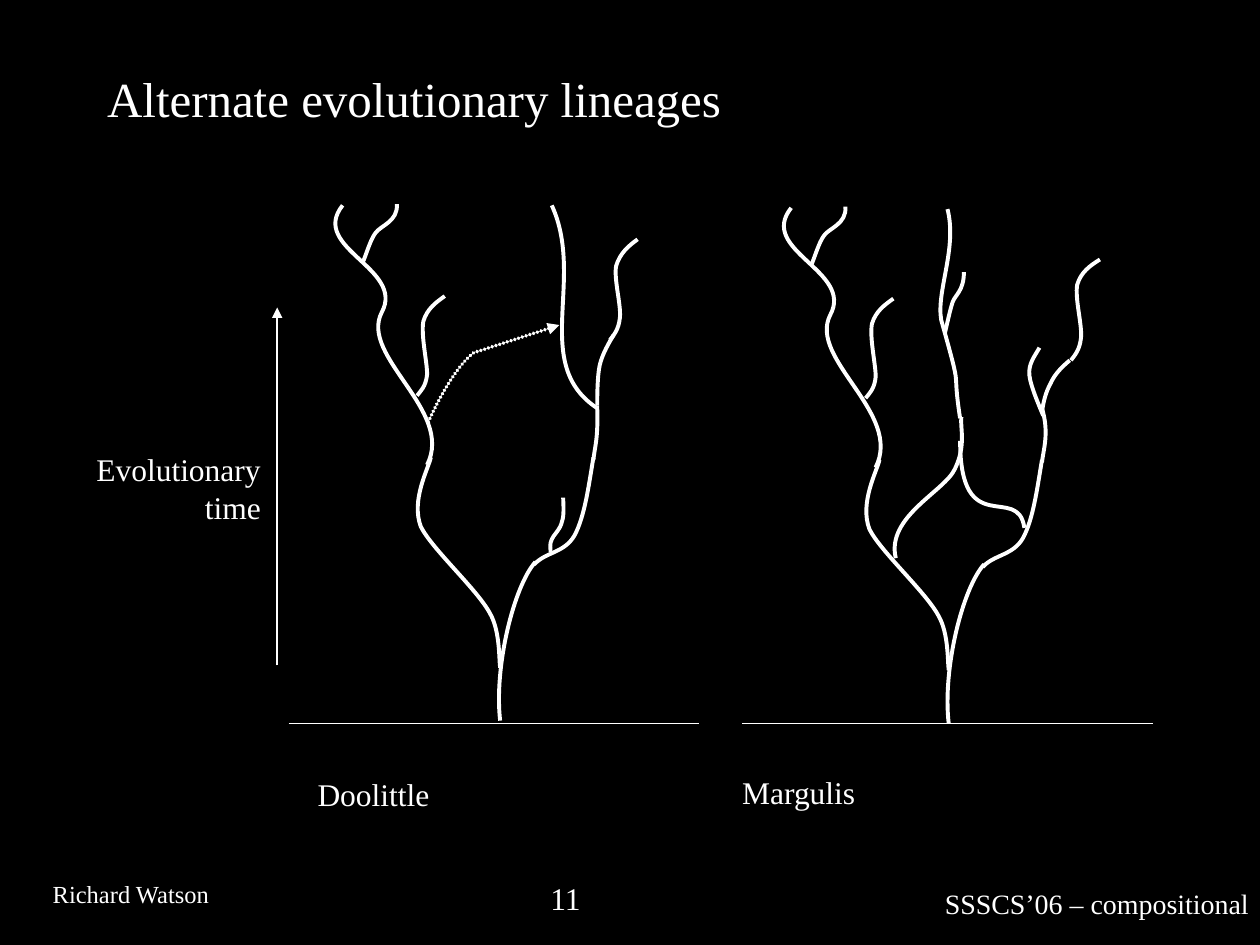
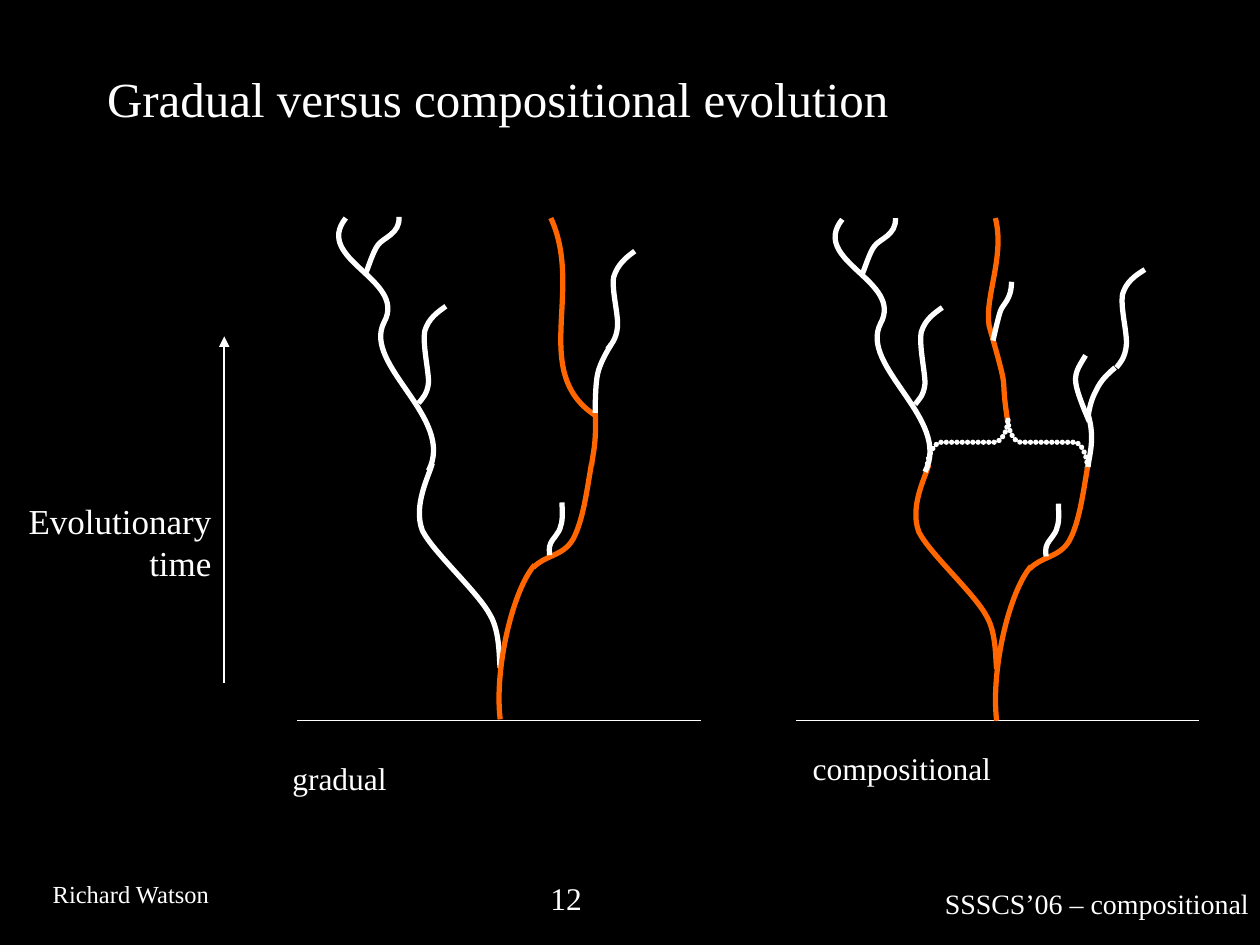
from dataclasses import dataclass

from lxml import etree
from pptx import Presentation
from pptx.dml.color import RGBColor
from pptx.enum.shapes import MSO_CONNECTOR
from pptx.enum.text import MSO_ANCHOR, MSO_AUTO_SIZE, PP_ALIGN
from pptx.oxml.ns import qn
from pptx.util import Inches, Pt


@dataclass(frozen=True)
class Theme:
    font: str = "Times New Roman"
    background: RGBColor = RGBColor(0x00, 0x00, 0x00)
    ink: RGBColor = RGBColor(0xFF, 0xFF, 0xFF)
    lineage: RGBColor = RGBColor(0xFF, 0x66, 0x00)
    title_size: int = 28
    axis_size: int = 20
    label_size: int = 18
    event_size: int = 16
    author_size: int = 14
    ground_width: float = 0.75
    axis_width: float = 1


TITLE_ONLY = 5
TEXT_INSETS = (0.1, 0.05)

# Each branch is a start point followed by control points, three per curve.
# A straight stretch repeats its end point three times.
LOWER_BRANCHES = {
    "left trunk": [(3.97, 5.3), (3.96, 5.23), (3.97, 5.01), (3.89, 4.87),
                   (3.79, 4.68), (3.43, 4.36), (3.34, 4.18),
                   (3.26, 3.97), (3.4, 3.72), (3.42, 3.63)],
    "left fork": [(2.88, 2.08), (2.9, 2.04), (2.94, 1.9), (2.98, 1.85),
                  (3.02, 1.79), (3.16, 1.76), (3.15, 1.62)],
    "left crown": [(3.39, 3.69), (3.61, 3.26), (2.85, 2.83), (3.03, 2.48),
                   (3.22, 2.13), (2.45, 1.97), (2.72, 1.63)],
    "left side": [(3.31, 3.14), (3.34, 3.1), (3.38, 3.07), (3.39, 2.97),
                  (3.39, 2.87), (3.34, 2.66), (3.36, 2.55),
                  (3.39, 2.45), (3.46, 2.4), (3.53, 2.35)],
    "root": [(3.97, 5.72), (3.92, 5.29), (4.08, 4.65), (4.25, 4.46)],
    "right trunk": [(4.24, 4.48), (4.33, 4.38), (4.48, 4.39), (4.56, 4.25),
                    (4.64, 4.1), (4.67, 3.87), (4.71, 3.63)],
}
LOWER_TWIG = {
    "lower twig": [(4.37, 4.38), (4.37, 4.35), (4.36, 4.32), (4.38, 4.28),
                   (4.39, 4.25), (4.45, 4.2), (4.46, 4.14),
                   (4.48, 4.09), (4.47, 3.99), (4.47, 3.95)],
}
SPLIT_BRANCHES = {
    "middle": [(4.74, 3.24), (4.21, 2.89), (4.65, 2.22), (4.38, 1.63)],
    "right neck": [(4.71, 3.65), (4.72, 3.55), (4.75, 3.48), (4.74, 3.22)],
    "right bend": [(4.74, 3.22), (4.74, 3.17), (4.74, 2.99), (4.76, 2.9),
                   (4.78, 2.81), (4.84, 2.71), (4.87, 2.66)],
    "right crown": [(4.84, 2.7), (4.87, 2.66), (4.91, 2.62), (4.92, 2.52),
                    (4.93, 2.42), (4.87, 2.21), (4.89, 2.11),
                    (4.92, 2.01), (4.99, 1.95), (5.06, 1.9)],
}
MERGED_STEM = {
    "middle": [(7.62, 3.32), (7.55, 2.86), (7.65, 3.18), (7.47, 2.54),
               (7.43, 2.31), (7.6, 1.97), (7.52, 1.66)],
}
MERGED_BRANCHES = {
    "middle twig": [(7.5, 2.64), (7.51, 2.6), (7.54, 2.46), (7.56, 2.4),
                    (7.58, 2.34), (7.65, 2.31), (7.65, 2.16)],
    "right neck": [(8.27, 3.67), (8.28, 3.57), (8.33, 3.44), (8.27, 3.24)],
    "right twig": [(8.28, 3.3), (8.26, 3.25), (8.18, 3.07), (8.17, 2.98),
                   (8.16, 2.89), (8.21, 2.83), (8.25, 2.76)],
    "right bend": [(8.27, 3.27), (8.28, 3.19), (8.3, 3.11), (8.34, 3.04),
                   (8.37, 2.97), (8.43, 2.91), (8.49, 2.86)],
    "right crown": [(8.5, 2.86), (8.53, 2.82), (8.57, 2.78), (8.58, 2.68),
                    (8.59, 2.58), (8.53, 2.37), (8.55, 2.26),
                    (8.58, 2.16), (8.65, 2.11), (8.73, 2.06)],
}
MERGERS = {
    "from left": [(7.11, 4.43), (7.03, 4.1), (7.5, 3.9), (7.58, 3.72),
                  (7.67, 3.53), (7.62, 3.4), (7.63, 3.31)],
    "from right": [(8.13, 4.19), (8.08, 3.83), (7.62, 4.3), (7.62, 3.5)],
}
GENE_TRANSFER = [(3.4, 3.35), (3.42, 3.3), (3.59, 2.93), (3.76, 2.8),
                 *[(4.44, 2.58)] * 3]
COMPOSITION = [(8.63, 3.71), (8.63, 3.61), (8.58, 3.51), (8.53, 3.51),
               *[(8.1, 3.51)] * 3,
               (8.05, 3.51), (8, 3.42), (8, 3.32),
               (8, 3.42), (7.95, 3.51), (7.89, 3.51),
               *[(7.47, 3.51)] * 3,
               (7.42, 3.51), (7.36, 3.61), (7.36, 3.71)]
SPLIT_ROOT = (3.97, 5.72)
MERGED_ROOT = (7.53, 5.74)
SHRINK = (0.98, 0.973)


def bend(shape, controls):
    """Turn each three line segments of a freeform into one cubic curve."""
    outline = next(shape._element.iter(qn("a:path")))
    segments = outline.findall(qn("a:lnTo"))
    for first in range(0, len(segments), 3):
        trio = segments[first:first + 3]
        if len(set(controls[first + 1:first + 4])) == 1:
            for repeat in trio[1:]:
                outline.remove(repeat)
            continue
        cubic = etree.Element(qn("a:cubicBezTo"))
        trio[0].addprevious(cubic)
        for segment in trio:
            cubic.append(segment[0])
            outline.remove(segment)


def move(controls, origin, root, scale):
    """Shift controls from origin to root, scaled about the root."""
    return [tuple(r + (v - o) * s
                  for v, o, r, s in zip(point, origin, root, scale))
            for point in controls]


def outline_of(shape):
    return shape._element.spPr.find(qn("a:ln"))


def add_dots(shape):
    """Set round dots one line width apart."""
    outline = outline_of(shape)
    outline.set("cap", "rnd")
    dashes = etree.SubElement(outline, qn("a:custDash"))
    etree.SubElement(dashes, qn("a:ds"), d="100000", sp="1000")


def add_arrowhead(shape):
    etree.SubElement(outline_of(shape), qn("a:tailEnd"), type="triangle")


def write(frame, text, *, theme, size, align=PP_ALIGN.LEFT,
          anchor=MSO_ANCHOR.MIDDLE, insets=(0, 0), wrap=True,
          fit=MSO_AUTO_SIZE.NONE):
    frame.word_wrap = wrap
    frame.auto_size = fit
    frame.vertical_anchor = anchor
    frame.margin_left = frame.margin_right = Inches(insets[0])
    frame.margin_top = frame.margin_bottom = Inches(insets[1])
    paragraph = frame.paragraphs[0]
    paragraph.alignment = align
    run = paragraph.add_run()
    run.text = text
    run.font.name = theme.font
    run.font.size = Pt(size)
    run.font.color.rgb = theme.ink


class Deck:
    def __init__(self, theme):
        self.theme = theme
        self.presentation = Presentation()
        self.presentation.slide_width = Inches(10)
        self.presentation.slide_height = Inches(7.5)
        backdrop = self.presentation.slide_master.background.fill
        backdrop.solid()
        backdrop.fore_color.rgb = theme.background
        self.slide = None

    def new_slide(self, heading, number):
        layout = self.presentation.slide_layouts[TITLE_ONLY]
        self.slide = self.presentation.slides.add_slide(layout)
        title = self.slide.shapes.title
        title.left, title.top = Inches(0.75), Inches(0.41)
        title.width, title.height = Inches(8.5), Inches(0.73)
        write(title.text_frame, heading, theme=self.theme,
              size=self.theme.title_size, insets=TEXT_INSETS)
        self.footer(number)

    def footer(self, number):
        style = dict(anchor=MSO_ANCHOR.TOP, insets=TEXT_INSETS,
                     fit=MSO_AUTO_SIZE.SHAPE_TO_FIT_TEXT)
        self.label("SSSCS’06 – compositional", (7.4, 6.99, 2.83, 0.36),
                   size=self.theme.event_size, **style)
        self.label("Richard Watson", (0.32, 6.93, 1.46, 0.34),
                   size=self.theme.author_size, wrap=False, **style)
        self.label(str(number), (4.27, 6.93, 1.24, 0.4), wrap=False, **style)

    def label(self, text, box, size=None, **style):
        frame = self.slide.shapes.add_textbox(*map(Inches, box)).text_frame
        write(frame, text, theme=self.theme,
              size=size or self.theme.label_size, **style)

    def line(self, start, end, width, arrow=False):
        line = self.slide.shapes.add_connector(
            MSO_CONNECTOR.STRAIGHT, *map(Inches, start + end))
        line.line.color.rgb = self.theme.ink
        line.line.width = Pt(width)
        etree.SubElement(line._element.spPr, qn("a:effectLst"))
        if arrow:
            add_arrowhead(line)

    def ground(self, left, top, length):
        self.line((left, top), (left + length, top), self.theme.ground_width)

    def time_axis(self, x, bottom, top, box, size):
        self.line((x, bottom), (x, top), self.theme.axis_width, arrow=True)
        self.label("Evolutionary time", box, size=size, align=PP_ALIGN.RIGHT)

    def curve(self, controls, width, color=None, dotted=False, arrow=False):
        start, *rest = [tuple(map(Inches, point)) for point in controls]
        builder = self.slide.shapes.build_freeform(*start)
        builder.add_line_segments(rest, close=False)
        branch = builder.convert_to_shape()
        bend(branch, controls)
        branch.shadow.inherit = False
        branch.fill.background()
        branch.line.color.rgb = color or self.theme.ink
        branch.line.width = Pt(width)
        if dotted:
            add_dots(branch)
        if arrow:
            add_arrowhead(branch)

    def tree(self, branches, origin, root, width, scale=(1, 1), lineage=()):
        """Draw branches grown from root; those named in lineage stand out."""
        for name, controls in branches.items():
            color = self.theme.lineage if name in lineage else self.theme.ink
            self.curve(move(controls, origin, root, scale), width, color)


def alternate_lineages(deck):
    deck.new_slide("Alternate evolutionary lineages", 11)
    width = 2.25
    deck.time_axis(2.2, 5.28, 2.44, (0.38, 3.11, 1.69, 1.53),
                   deck.theme.label_size)

    deck.ground(2.29, 5.74, 3.26)
    deck.tree(LOWER_BRANCHES | LOWER_TWIG | SPLIT_BRANCHES,
              SPLIT_ROOT, SPLIT_ROOT, width)
    deck.curve(GENE_TRANSFER, width, dotted=True, arrow=True)
    deck.label("Doolittle", (2.52, 6.07, 2.98, 0.47))

    deck.ground(5.89, 5.74, 3.26)
    deck.tree(LOWER_BRANCHES, SPLIT_ROOT, MERGED_ROOT, width)
    deck.tree(MERGED_STEM | MERGED_BRANCHES | MERGERS,
              MERGED_ROOT, MERGED_ROOT, width)
    deck.label("Margulis", (5.89, 6.05, 2.98, 0.47))


def gradual_versus_compositional(deck):
    deck.new_slide("Gradual versus compositional evolution", 12)
    width = 3
    deck.time_axis(1.78, 5.42, 2.67, (0.05, 3.68, 1.63, 1.23),
                   deck.theme.axis_size)

    deck.ground(2.36, 5.72, 3.2)
    deck.tree(LOWER_BRANCHES | LOWER_TWIG | SPLIT_BRANCHES,
              SPLIT_ROOT, (3.97, 5.71), width, SHRINK,
              lineage=("root", "right trunk", "right neck", "middle"))
    deck.label("gradual", (2.32, 5.99, 2.15, 0.37))

    deck.ground(6.32, 5.72, 3.2)
    root = (7.91, 5.72)
    deck.tree(MERGED_STEM, MERGED_ROOT, (7.91, 5.7), width, SHRINK,
              lineage=("middle",))
    deck.curve(COMPOSITION, width, dotted=True)
    deck.tree(LOWER_BRANCHES | LOWER_TWIG, SPLIT_ROOT, root, width, SHRINK,
              lineage=("root", "left trunk", "right trunk"))
    deck.tree(MERGED_BRANCHES, MERGED_ROOT, root, width, SHRINK)
    deck.label("compositional", (6.45, 5.91, 2.15, 0.37))


def main():
    deck = Deck(Theme())
    alternate_lineages(deck)
    gradual_versus_compositional(deck)
    deck.presentation.save("out.pptx")


if __name__ == "__main__":
    main()
